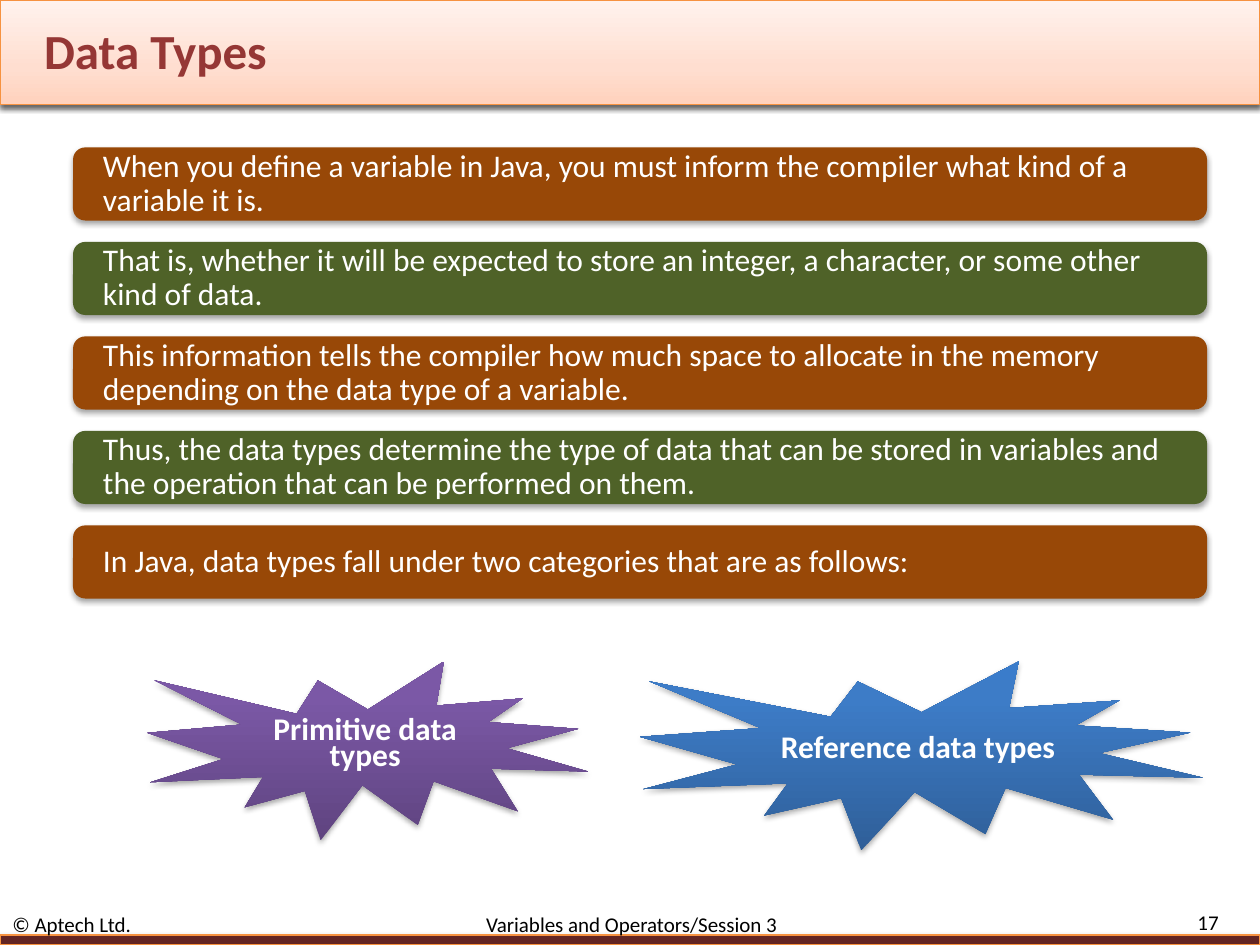
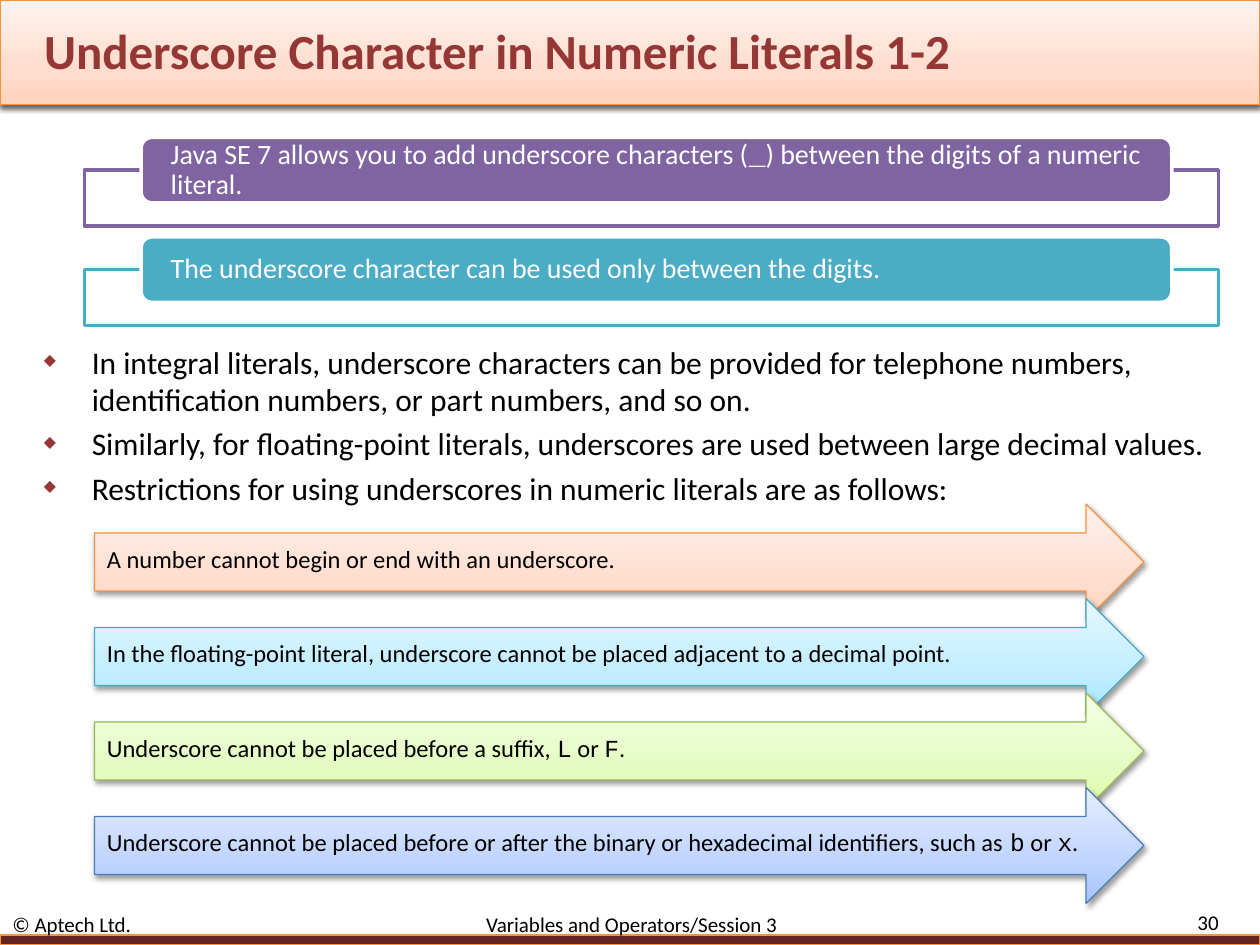
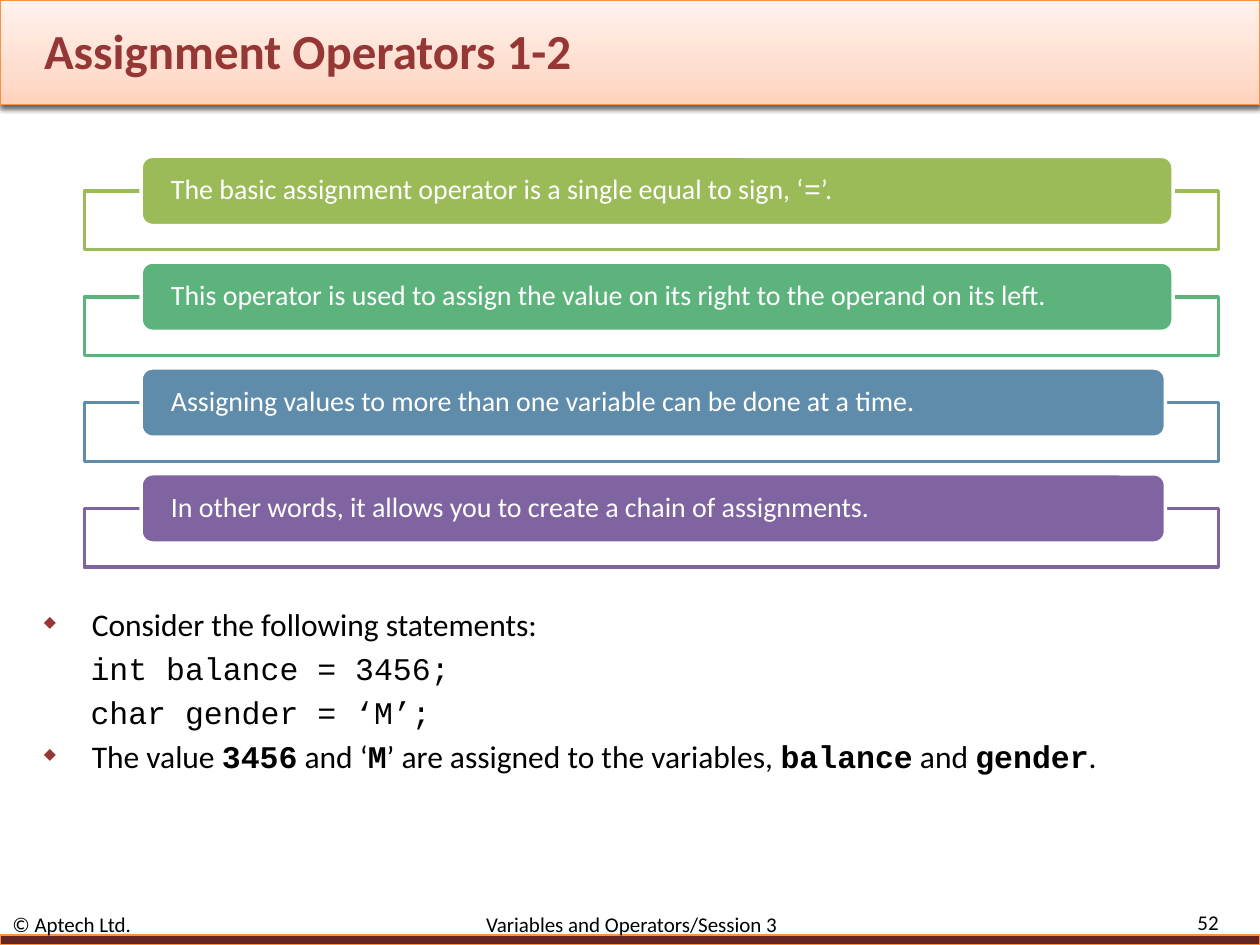
import pptx
import pptx.util
import pptx.dml.color
import pptx.enum.shapes
import pptx.enum.text
import pptx.oxml
import pptx.oxml.ns
from lxml import etree

Inches = pptx.util.Inches
Pt = pptx.util.Pt
SHAPE = pptx.enum.shapes.MSO_SHAPE
ALIGN = pptx.enum.text.PP_ALIGN
MIDDLE = pptx.enum.text.MSO_ANCHOR.MIDDLE
qn = pptx.oxml.ns.qn

FONT, CODE_FONT = "Calibri", "Courier New"
COLORS = {
    "white": "FFFFFF", "black": "000000",
    "title": "953735", "maroon": "632523", "bullet": "973735",
    "brown": "984807", "forest": "4F6228",
    "purple": "8064A2", "aqua": "4BACC6", "green": "9BBB59",
    "mint": "5CB37C", "steel": "608CAB",
    "orange line": "F69240", "aqua line": "46AAC5",
    "green line": "98B955", "blue line": "4B7EBC",
}
GRADIENTS = {
    "orange": ((0, "FFD2BD"), (35, "FFDED0"), (100, "FFF2ED")),
    "aqua": ((0, "A7E6FF"), (35, "C1EDFF"), (100, "E7F8FF")),
    "green": ((0, "DAFDA7"), (35, "E4FCC2"), (100, "F5FFE7")),
    "blue": ((0, "A4C4FF"), (35, "BFD4FF"), (100, "E6EEFF")),
    "deep purple": ((0, "5F4480"), (80, "7B58A6"), (100, "7C57A8")),
    "deep blue": ((0, "2F5F99"), (80, "3D7CC7"), (100, "3A7CCB")),
}


def rgb(name):
    return pptx.dml.color.RGBColor.from_string(COLORS[name])


def add_xml(parent, tag, **attrs):
    return etree.SubElement(parent, qn(tag), {k: str(v) for k, v in attrs.items()})


class Deck:
    def __init__(self):
        self.prs = pptx.Presentation()
        self.prs.slide_width = Inches(10)
        self.prs.slide_height = Inches(7.5)
        self.layout = self.prs.slide_layouts[5]
        self.slide = None

    def new_slide(self, title, number):
        first = self.slide is None
        self.slide = self.prs.slides.add_slide(self.layout)
        if first:
            self.bands()
        sp = self.slide.shapes.title
        sp.left, sp.top = Inches(0.25), Inches(0.17)
        sp.width, sp.height = Inches(8.33), Inches(0.45)
        tf = sp.text_frame
        tf.vertical_anchor = MIDDLE
        p = tf.paragraphs[0]
        p.alignment = ALIGN.LEFT
        self.runs(p, title, 28, "title", bold=True)
        ln = pptx.oxml.parse_xml(
            f'<a:ln {pptx.oxml.ns.nsdecls("a")} w="9525"><a:solidFill>'
            f'<a:srgbClr val="{COLORS["maroon"]}"/></a:solidFill></a:ln>')
        p.runs[0].font._element.insert(0, ln)
        self.footer(number)

    def bands(self):
        top = self.shape(SHAPE.RECTANGLE, 0, 0, 10, 0.83, "orange", "orange line", shadow=60)
        bottom = self.shape(SHAPE.RECTANGLE, 0, 7.42, 10, 0.08, "maroon", "orange line", shadow=35)
        tree = self.layout.shapes._spTree
        for i, sp in enumerate((top, bottom)):
            tree.insert(2 + i, sp._element)

    def footer(self, number):
        p = self.textbox(0, 7.25, 8.83, 0.17, MIDDLE).paragraphs[0]
        tabs = add_xml(p._p.get_or_add_pPr(), "a:tabLst")
        add_xml(tabs, "a:tab", pos=Inches(3.76), algn="l")
        self.runs(p, "© Aptech Ltd.\tVariables and Operators/Session 3", 12, "black")
        p = self.textbox(8.92, 7.23, 0.85, 0.18, MIDDLE).paragraphs[0]
        p.alignment = ALIGN.RIGHT
        self.runs(p, str(number), 12, "black")

    def runs(self, p, text, size, color, bold=False, bold_code=False):
        for i, part in enumerate(text.split("`")):
            if not part:
                continue
            code = i % 2 == 1
            r = p.add_run()
            r.text = part
            r.font.name = CODE_FONT if code else FONT
            r.font.size = Pt(size)
            r.font.bold = bold or (code and bold_code)
            r.font.color.rgb = rgb(color)

    def textbox(self, x, y, w, h, anchor=None):
        tf = self.slide.shapes.add_textbox(Inches(x), Inches(y), Inches(w), Inches(h)).text_frame
        tf.word_wrap = True
        if anchor:
            tf.vertical_anchor = anchor
        return tf

    def shape(self, kind, x, y, w, h, fill, line=None, width=0.75, shadow=0):
        sp = self.slide.shapes.add_shape(kind, Inches(x), Inches(y), Inches(w), Inches(h))
        sp.shadow.inherit = False
        if fill in GRADIENTS and shadow and fill not in COLORS or fill in ("aqua", "green") and kind == SHAPE.RIGHT_ARROW:
            self.gradient(sp, GRADIENTS[fill])
        else:
            sp.fill.solid()
            sp.fill.fore_color.rgb = rgb(fill)
        if line:
            sp.line.color.rgb = rgb(line)
            sp.line.width = Pt(width)
        else:
            sp.line.fill.background()
        if shadow:
            self.cast_shadow(sp, shadow)
        return sp

    def gradient(self, sp, stops):
        sp.fill.gradient()
        sp.fill.gradient_angle = 90
        gs_list = sp._element.spPr.find(".//" + qn("a:gsLst"))
        for gs in list(gs_list):
            gs_list.remove(gs)
        for position, color in stops:
            gs = add_xml(gs_list, "a:gs", pos=position * 1000)
            add_xml(gs, "a:srgbClr", val=color)

    def cast_shadow(self, sp, opacity):
        effects = sp._element.spPr.find(qn("a:effectLst"))
        outer = add_xml(effects, "a:outerShdw", blurRad=Pt(3.1), dist=Pt(1.7),
                        dir=5400000, rotWithShape=0)
        color = add_xml(outer, "a:srgbClr", val=COLORS["black"])
        add_xml(color, "a:alpha", val=opacity * 1000)

    def label(self, sp, text, size, color, spacing, align=ALIGN.LEFT, bold=False, inset=None):
        tf = sp.text_frame
        tf.word_wrap = True
        tf.vertical_anchor = MIDDLE
        if inset is not None:
            tf.margin_left = tf.margin_right = Inches(inset)
            tf.margin_top = tf.margin_bottom = 0
        p = tf.paragraphs[0]
        p.alignment = align
        p.line_spacing = spacing
        self.runs(p, text, size, color, bold)

    def bar(self, y, text, color):
        sp = self.shape(SHAPE.ROUNDED_RECTANGLE, 0.58, y, 9, 0.58, color, shadow=35)
        self.label(sp, text, 18, "white", 0.9, inset=0.21)

    def burst(self, x, w, h, text, fill):
        sp = self.shape(SHAPE.EXPLOSION1, x, 5.25, w, h, fill, shadow=35)
        self.label(sp, text, 18, "white", 0.7, ALIGN.CENTER, bold=True)

    def arrow(self, y, text, tint):
        sp = self.shape(SHAPE.RIGHT_ARROW, 0.75, y, 8.33, 0.92, tint, tint + " line", shadow=38)
        self.label(sp, text, 14, "black", 0.7)

    def framed_tag(self, y, w, h, text, color):
        self.shape(SHAPE.RECTANGLE, 0.67, y + h / 2, 9, 0.85 * h, "white", color, 2)
        sp = self.shape(SHAPE.ROUNDED_RECTANGLE, 1.12, y, w, h, color, "white", 2)
        self.label(sp, text, 16, "white", 0.9, inset=0.21)

    def bullets(self, y, w, h, items):
        tf = self.textbox(0.25, y, w, h)
        for i, text in enumerate(items):
            p = tf.add_paragraph() if i else tf.paragraphs[0]
            code_line = text.startswith("`")
            pPr = p._p.get_or_add_pPr()
            pPr.set("marL", str(Inches(0.75 if code_line else 0.38)))
            pPr.set("indent", str(Inches(-0.38)))
            if code_line:
                add_xml(pPr, "a:buNone")
            else:
                add_xml(add_xml(pPr, "a:buClr"), "a:srgbClr", val=COLORS["bullet"])
                add_xml(pPr, "a:buSzPct", val=50000)
                add_xml(pPr, "a:buChar", char="◆")
            if i:
                p.space_before = Pt(3.6)
            self.runs(p, text, 18, "black", bold_code=not code_line)


def data_types(deck):
    deck.new_slide("Data Types", 17)
    bars = (
        "When you define a variable in Java, you must inform the compiler what kind of a variable it is.",
        "That is, whether it will be expected to store an integer, a character, or some other kind of data.",
        "This information tells the compiler how much space to allocate in the memory depending on the data type of a variable.",
        "Thus, the data types determine the type of data that can be stored in variables and the operation that can be performed on them.",
        "In Java, data types fall under two categories that are as follows:",
    )
    for i, text in enumerate(bars):
        deck.bar(1.17 + 0.75 * i, text, ("brown", "forest")[i % 2])
    deck.burst(1.17, 3.5, 1.42, "Primitive data types", "deep purple")
    deck.burst(5.08, 4.47, 1.5, "Reference data types", "deep blue")


def underscores(deck):
    deck.new_slide("Underscore Character in Numeric Literals 1-2", 30)
    tags = (
        ("Java SE 7 allows you to add underscore characters (`_`) between the digits of a numeric literal.", "purple"),
        ("The underscore character can be used only between the digits.", "aqua"),
    )
    for i, (text, color) in enumerate(tags):
        deck.framed_tag(1.09 + 0.79 * i, 8.18, 0.52, text, color)
    deck.bullets(2.67, 9.58, 1.33, (
        "In integral literals, underscore characters can be provided for telephone numbers, identification numbers, or part numbers, and so on.",
        "Similarly, for floating-point literals, underscores are used between large decimal values.",
        "Restrictions for using underscores in numeric literals are as follows:",
    ))
    restrictions = (
        ("A number cannot begin or end with an underscore.", "orange"),
        ("In the floating-point literal, underscore cannot be placed adjacent to a decimal point.", "aqua"),
        ("Underscore cannot be placed before a suffix, `L` or `F`.", "green"),
        ("Underscore cannot be placed before or after the binary or hexadecimal identifiers, such as `b` or `x`.", "blue"),
    )
    for i, (text, tint) in enumerate(restrictions):
        deck.arrow(4 + 0.75 * i, text, tint)


def assignment(deck):
    deck.new_slide("Assignment Operators 1-2", 52)
    tags = (
        ("The basic assignment operator is a single equal to sign, ‘`=`’.", "green", 8.19),
        ("This operator is used to assign the value on its right to the operand on its left.", "mint", 8.19),
        ("Assigning values to more than one variable can be done at a time.", "steel", 8.13),
        ("In other words, it allows you to create a chain of assignments.", "purple", 8.13),
    )
    for i, (text, color, width) in enumerate(tags):
        deck.framed_tag(1.24 + 0.84 * i, width, 0.55, text, color)
    deck.bullets(4.75, 9.42, 1.92, (
        "Consider the following statements:",
        "`int balance = 3456;`",
        "`char gender = ‘M’;`",
        "The value `3456` and ‘`M`’ are assigned to the variables, `balance` and `gender`.",
    ))


def main():
    deck = Deck()
    data_types(deck)
    underscores(deck)
    assignment(deck)
    deck.prs.save("out.pptx")


if __name__ == "__main__":
    main()
